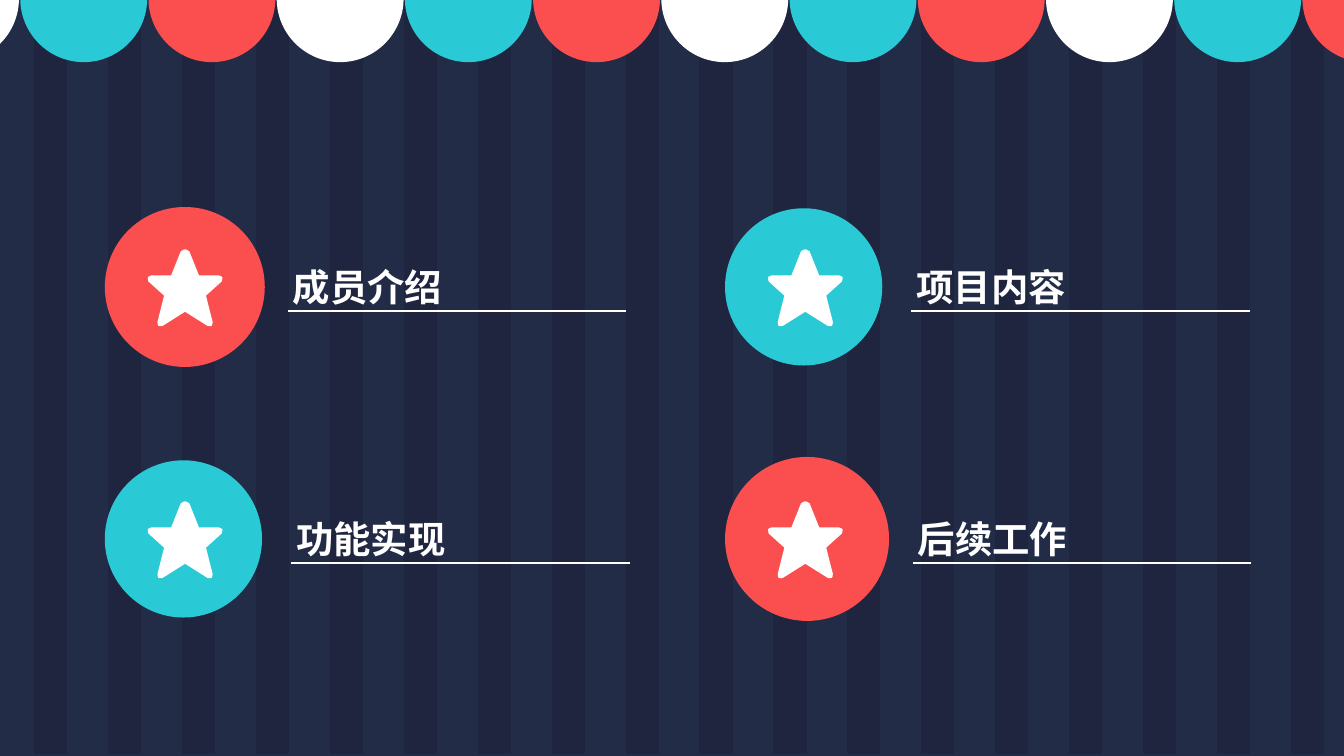
from dataclasses import dataclass

import pptx
import pptx.dml.color
import pptx.enum.shapes
import pptx.enum.text
import pptx.oxml.ns
import pptx.util
from lxml import etree

SHAPE = pptx.enum.shapes.MSO_SHAPE


@dataclass(frozen=True)
class Theme:
    navy: str = "222C47"
    dark: str = "1F253E"
    white: str = "FFFFFF"
    teal: str = "2AC9D6"
    red: str = "FB4F4F"
    font: str = "Calibri"
    label_size: int = 20
    rule_width: float = 0.75
    stripe_width: int = 2


THEME = Theme()

# The slide is a grid of square units, 100 columns wide.
COLUMNS, ROWS = 100, 56.25
STRIPES, SCALLOP_PITCH, SCALLOP_WIDTH = 37, 9.54, 9.44

# Star in grid units: inner corners, and tips as start, control and end.
STAR_WIDTH = 5.64
STAR_TOP = [(3.14, 0.2), (2.82, 0), (2.5, 0.2)]
STAR_LEFT = [[(1.78, 2)], [(0.3, 2), (0, 2.1), (0.1, 2.45)], [(1.26, 3.5)],
             [(0.77, 5.45), (0.8, 5.8), (1.15, 5.75)]]
STAR_BOTTOM = [(2.82, 4.7)]


def unit(n):
    return pptx.util.Inches(n / 10)


def rgb(colour):
    return pptx.dml.color.RGBColor.from_string(colour)


def paint(s, fill, line=None, width=0):
    s.shadow.inherit = False
    s.fill.solid()
    s.fill.fore_color.rgb = rgb(fill)
    if line:
        s.line.color.rgb = rgb(line)
        s.line.width = pptx.util.Pt(width)
    else:
        s.line.fill.background()


def add_preset(slide, kind, left, top, width, height):
    return slide.shapes.add_shape(kind, unit(left), unit(top), unit(width), unit(height))


def add_outline(slide, left, top, start, segments, fill):
    """Draw segments of one point (line) or three points (Bezier curve)."""
    points = [(unit(left + x), unit(top + y)) for x, y in [start] + sum(segments, [])]
    builder = slide.shapes.build_freeform(*points[0], scale=1.0)
    builder.add_line_segments(points[1:], close=True)
    s = builder.convert_to_shape()
    steps = iter(list(s._element.iter(pptx.oxml.ns.qn("a:lnTo"))))
    for segment in segments:
        parts = [next(steps) for _ in segment]
        if len(parts) == 3:
            curve = etree.Element(pptx.oxml.ns.qn("a:cubicBezTo"))
            parts[0].addprevious(curve)
            for part in parts:
                curve.append(part[0])
                part.getparent().remove(part)
    paint(s, fill)


def add_stripes(slide, left, top, width, height):
    pitch = width / STRIPES
    for i in range(STRIPES):
        s = add_preset(slide, SHAPE.RECTANGLE, left + i * pitch, top, pitch, height)
        paint(s, (THEME.navy, THEME.dark)[i % 2], THEME.navy, THEME.stripe_width)


def add_awning(slide, left, top, count):
    """Hang a row of half discs from the top edge."""
    r = SCALLOP_WIDTH / 2
    k = 0.55 * r
    half_disc = [[(r + k, r), (2 * r, k), (2 * r, 0)], [(0, 0)], [(0, k), (r - k, r), (r, r)]]
    colours = (THEME.white, THEME.teal, THEME.red)
    for i in range(count):
        add_outline(slide, left + i * SCALLOP_PITCH, top, (r, r), half_disc, colours[i % 3])


def add_star(slide, left, top):
    def tip(a, c, b):
        return [[a], [c, c, b]]

    half = STAR_LEFT
    mirrored = [[(STAR_WIDTH - x, y) for x, y in reversed(part)] for part in reversed(half)]
    segments = []
    for part in [STAR_TOP] + half + [STAR_BOTTOM] + mirrored:
        segments += tip(*part) if len(part) == 3 else [part]
    add_outline(slide, left, top, STAR_TOP[0], segments[1:], THEME.white)


def add_label(slide, left, top, text):
    """Set a label with a rule under it."""
    s = slide.shapes.add_textbox(unit(left), unit(top), unit(13.1), unit(4.4))
    tf = s.text_frame
    tf.word_wrap = False
    tf.auto_size = pptx.enum.text.MSO_AUTO_SIZE.SHAPE_TO_FIT_TEXT
    p = tf.paragraphs[0]
    p.text = text
    p.font.name = THEME.font
    p.font.size = pptx.util.Pt(THEME.label_size)
    p.font.bold = True
    p.font.color.rgb = rgb(THEME.white)

    start, y = left + 0.6, top + 4
    rule = slide.shapes.add_connector(pptx.enum.shapes.MSO_CONNECTOR.STRAIGHT,
                                      unit(start), unit(y), unit(start + 25.2), unit(y))
    rule.line.color.rgb = rgb(THEME.white)
    rule.line.width = pptx.util.Pt(THEME.rule_width)
    etree.SubElement(rule._element.spPr, pptx.oxml.ns.qn("a:effectLst"))


def add_item(slide, left, middle, text, colour, diameter, indent):
    disc = add_preset(slide, SHAPE.OVAL, left, middle - diameter / 2, diameter, diameter)
    paint(disc, colour)
    add_star(slide, left + 3.15, middle - 2.85)
    add_label(slide, left + indent, middle - 2.2, text)


def add_agenda(slide, left, middle, column_pitch, row_pitch):
    items = [
        ("成员介绍", THEME.red, 11.9, 13.0),
        ("项目内容", THEME.teal, 11.7, 13.25),
        ("功能实现", THEME.teal, 11.7, 13.25),
        ("后续工作", THEME.red, 12.2, 13.35),
    ]
    for i, item in enumerate(items):
        row, column = divmod(i, 2)
        add_item(slide, left + column * column_pitch, middle + row * row_pitch, *item)


def main():
    prs = pptx.Presentation()
    prs.slide_width, prs.slide_height = unit(COLUMNS), unit(ROWS)
    slide = prs.slides.add_slide(prs.slide_layouts[6])
    add_stripes(slide, -0.35, 0, 101.75, ROWS)
    add_awning(slide, -8.03, -0.1, 12)
    add_agenda(slide, 7.8, 21.35, 46.15, 18.75)
    prs.save("out.pptx")


if __name__ == "__main__":
    main()
